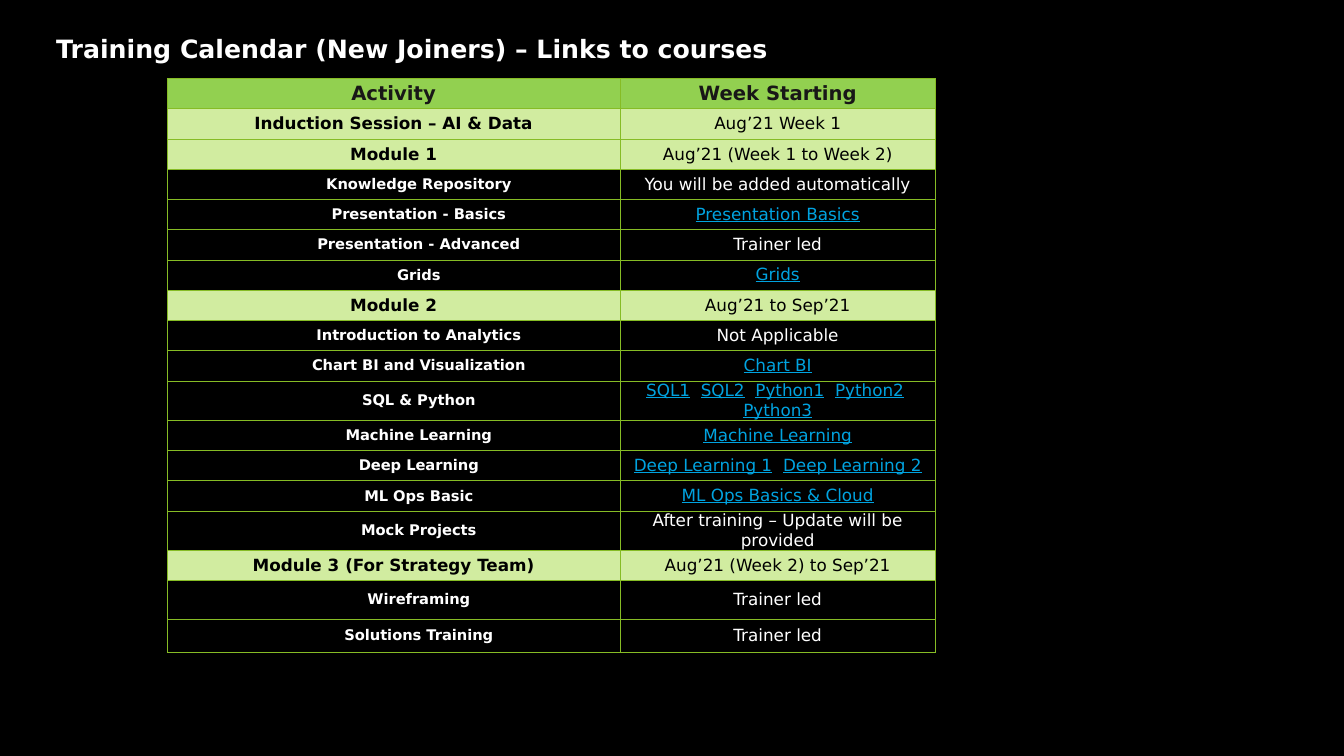
from lxml import etree
from pptx import Presentation
from pptx.dml.color import RGBColor
from pptx.enum.text import MSO_ANCHOR, PP_ALIGN
from pptx.oxml.ns import qn
from pptx.util import Inches, Pt

CENTER = PP_ALIGN.CENTER
MIDDLE = MSO_ANCHOR.MIDDLE

# Kind, activity, week (plain text, or a list of link texts)
CALENDAR = [
    ("header", "Activity", "Week Starting"),
    ("module", "Induction Session – AI & Data", "Aug’21 Week 1"),
    ("module", "Module 1", "Aug’21 (Week 1 to Week 2)"),
    ("course", "Knowledge Repository", "You will be added automatically"),
    ("course", "Presentation - Basics", ["Presentation Basics"]),
    ("course", "Presentation - Advanced", "Trainer led"),
    ("course", "Grids", ["Grids"]),
    ("module", "Module 2", "Aug’21 to Sep’21"),
    ("course", "Introduction to Analytics", "Not Applicable"),
    ("course", "Chart BI and Visualization", ["Chart BI"]),
    ("course", "SQL & Python", ["SQL1", "SQL2", "Python1", "Python2", "Python3"]),
    ("course", "Machine Learning", ["Machine Learning"]),
    ("course", "Deep Learning", ["Deep Learning 1", "Deep Learning 2"]),
    ("course", "ML Ops Basic", ["ML Ops Basics & Cloud"]),
    ("course", "Mock Projects", "After training – Update will be provided"),
    ("module", "Module 3 (For Strategy Team)", "Aug’21 (Week 2) to Sep’21"),
    ("course", "Wireframing", "Trainer led"),
    ("course", "Solutions Training", "Trainer led"),
]
ROW_HEIGHTS = [4] * 16 + [5.07, 4.4]

# Fill, text colour, activity size, week size, week bold
ROW_STYLES = {
    "header": ("92D050", "181717", 14, 14, True),
    "module": ("D1ECA0", "000000", 12, 12, False),
    "course": (None, "FFFFFF", 10.5, 12, False),
}


def color(value):
    return RGBColor.from_string(value)


class CalendarPage:
    """Lengths are hundredths of the slide: columns across, rows down."""

    font = "DejaVu Sans"
    background = "000000"
    border = "86BC25"
    link = "00A3E0"

    def __init__(self, deck):
        self.column = deck.slide_width / 100
        self.row = deck.slide_height / 100
        self.page = deck.slides.add_slide(deck.slide_layouts[6])
        fill = self.page.background.fill
        fill.solid()
        fill.fore_color.rgb = color(self.background)

    def across(self, columns):
        return round(columns * self.column)

    def down(self, rows):
        return round(rows * self.row)

    def set_font(self, font, size, text_color, bold):
        font.name = self.font
        font.size = Pt(size)
        font.bold = bold
        font.color.rgb = color(text_color)

    def title(self, text, left, top, width, height):
        box = self.page.shapes.add_textbox(
            self.across(left), self.down(top), self.across(width), self.down(height))
        box.text_frame.word_wrap = True
        para = box.text_frame.paragraphs[0]
        para.text = text
        self.set_font(para.font, 18, "FFFFFF", True)

    def table(self, left, top, widths, heights):
        frame = self.page.shapes.add_table(
            len(heights), len(widths), self.across(left), self.down(top),
            self.across(sum(widths)), self.down(sum(heights)))
        table = frame.table
        table.first_row = table.horz_banding = False
        for column, width in zip(table.columns, widths):
            column.width = self.across(width)
        for row, height in zip(table.rows, heights):
            row.height = self.down(height)
        return table

    def cell(self, cell, fill, side_margin):
        """Format a cell and return its centred paragraph."""
        properties = cell._tc.get_or_add_tcPr()
        for side in ("lnL", "lnR", "lnT", "lnB"):
            line = etree.SubElement(properties, qn(f"a:{side}"), w=str(Pt(0.75)))
            solid = etree.SubElement(line, qn("a:solidFill"))
            etree.SubElement(solid, qn("a:srgbClr"), val=self.border)
        if fill:
            cell.fill.solid()
            cell.fill.fore_color.rgb = color(fill)
        else:
            cell.fill.background()
        cell.margin_left = cell.margin_right = Inches(side_margin)
        cell.margin_top = cell.margin_bottom = 0
        cell.vertical_anchor = MIDDLE
        para = cell.text_frame.paragraphs[0]
        para.alignment = CENTER
        return para

    def links(self, para, names):
        """Write underlined names, parted by commas in the page colour."""
        for index, name in enumerate(names):
            if index:
                comma = para.add_run()
                comma.text = ", "
                comma.font.color.rgb = color(self.background)
            span = para.add_run()
            span.text = name
            span.font.underline = True
            span.font.color.rgb = color(self.link)

    def calendar_row(self, cells, kind, activity, week):
        fill, text_color, activity_size, week_size, week_bold = ROW_STYLES[kind]
        is_course = kind == "course"

        para = self.cell(cells[0], fill, 0.07)
        if is_course:
            para.level = 1
            indent = para._p.get_or_add_pPr()
            indent.set("marL", str(Inches(0.5)))
            indent.set("indent", "0")
        para.add_run().text = activity
        self.set_font(para.font, activity_size, text_color, True)

        para = self.cell(cells[1], fill, 0.01 if is_course else 0.07)
        if isinstance(week, list):
            self.links(para, week)
        else:
            para.add_run().text = week
        self.set_font(para.font, week_size, text_color, week_bold)


def main():
    deck = Presentation()
    deck.slide_width = Inches(13.33)
    deck.slide_height = Inches(7.5)
    page = CalendarPage(deck)
    table = page.table(12.45, 10.4, [33.68, 23.48], ROW_HEIGHTS)
    for row, entry in zip(table.rows, CALENDAR):
        page.calendar_row(row.cells, *entry)
    page.title("Training Calendar (New Joiners) – Links to courses",
               3.45, 3.73, 77.34, 5.33)
    deck.save("out.pptx")


if __name__ == "__main__":
    main()
